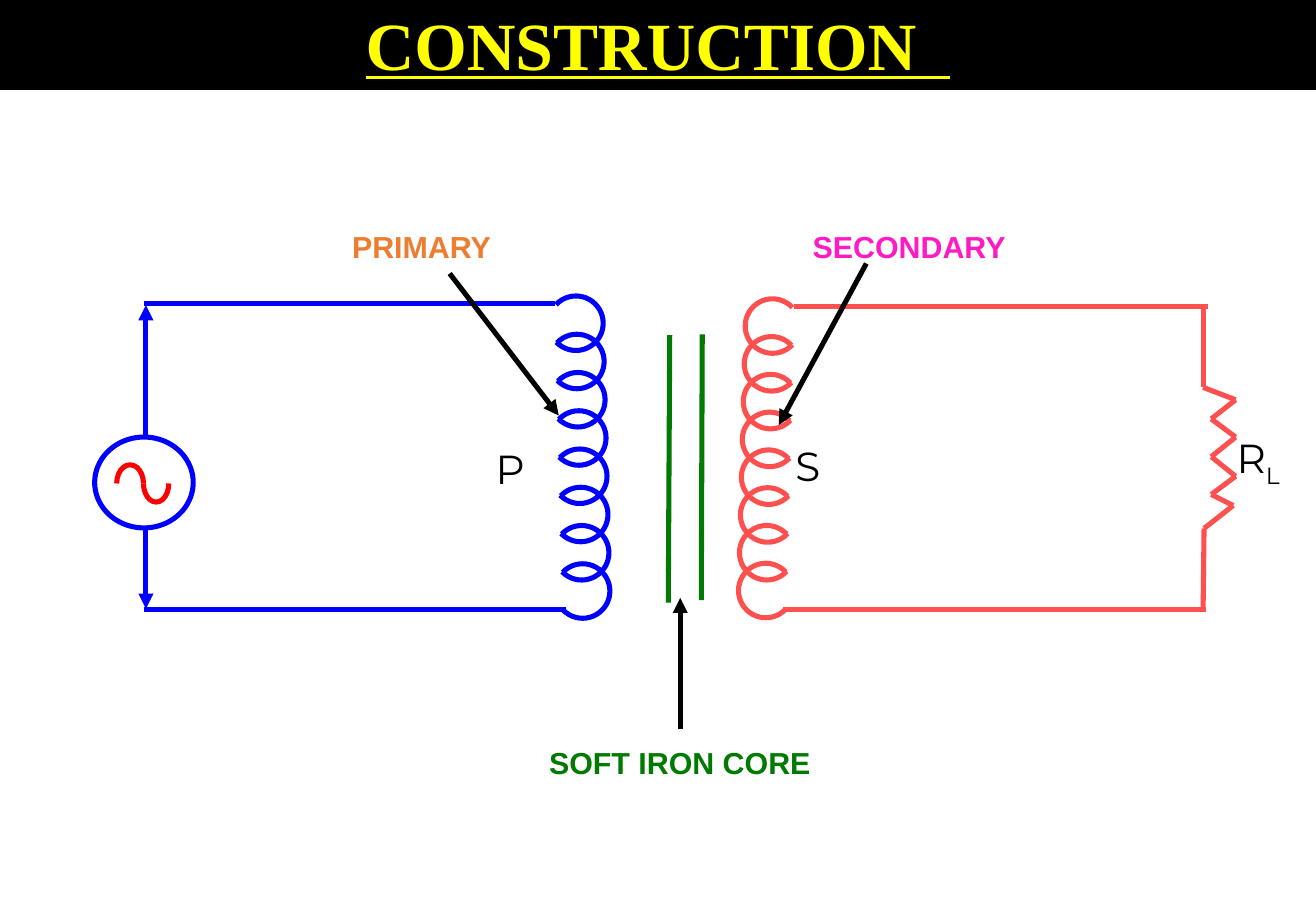
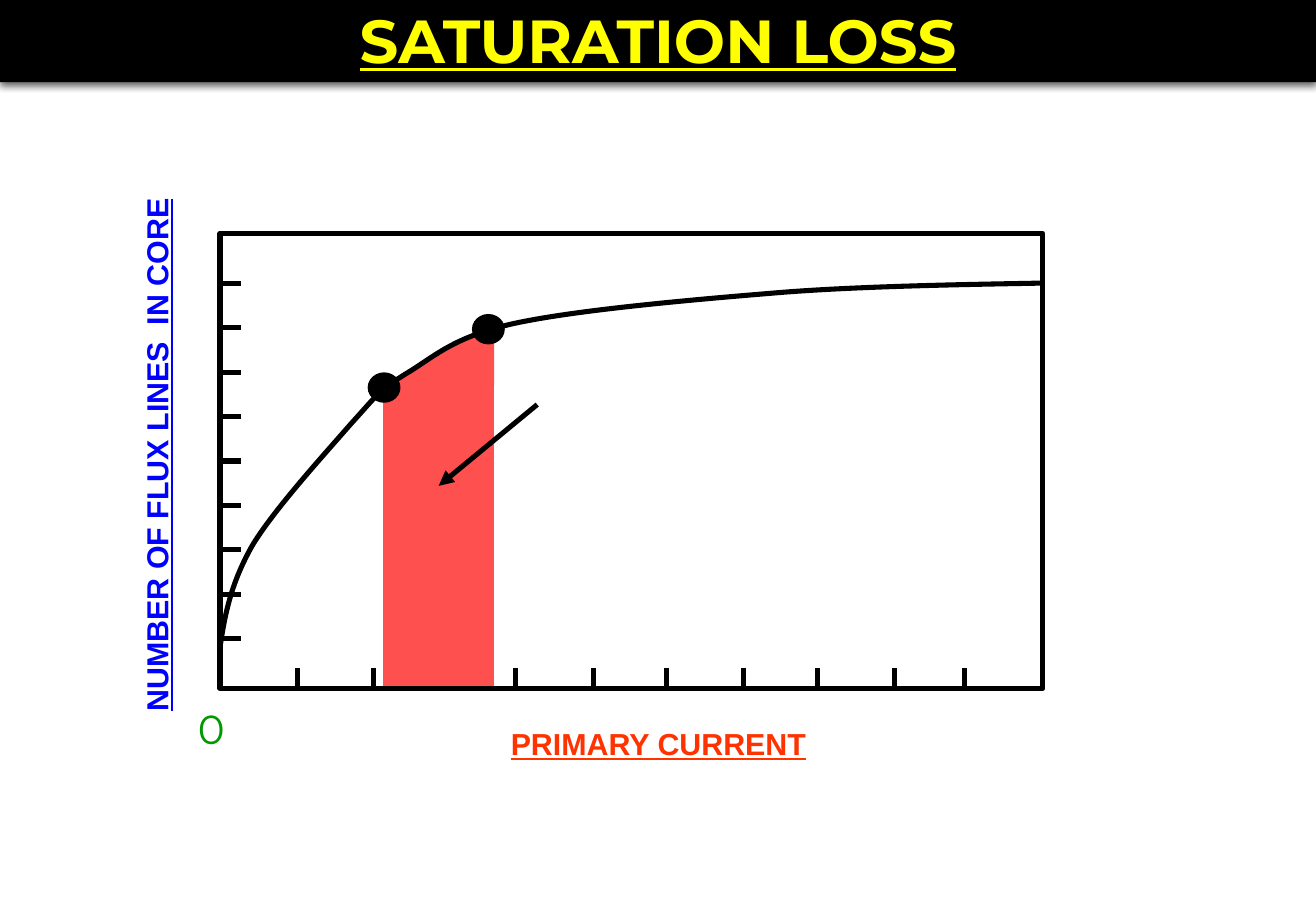
from itertools import pairwise

from pptx import Presentation
from pptx.dml.color import RGBColor
from pptx.enum import shapes, text
from pptx.oxml import ns, xmlchemy
from pptx.util import Cm, Pt

SHAPE = shapes.MSO_SHAPE
ALIGN = text.PP_ALIGN
COLORS = {
    "black": "000000", "white": "FFFFFF", "yellow": "FFFF00",
    "blue": "0000FF", "coral": "FF5050", "red": "FF0000",
    "core": "007A00", "orange": "ED7D31", "pink": "FF1BC3",
    "scarlet": "FF3300", "green": "009900",
}
SLIDE_W, SLIDE_H = 27.51, 19.05
STROKE = 3

COIL_TURNS, COIL_RADIUS = 8, 0.57
COILS = [
    {"color": "coral", "first": (16.15, 6.82), "step": (-0.02, 0.79), "arc": (43, 317)},
    {"color": "blue", "first": (12.04, 6.76), "step": (0.02, 0.8), "arc": (223, 136)},
]
WIRES = [
    ("coral", (16.36, 12.75), (25.22, 12.75)),
    ("coral", (16.59, 6.4), (25.25, 6.4)),
    ("blue", (11.84, 12.75), (3.02, 12.75)),
    ("blue", (11.61, 6.35), (3, 6.35)),
    ("core", (14, 7.01), (13.97, 12.6)),
    ("core", (14.68, 6.99), (14.66, 12.55)),
]
SOURCE_LEAD = ((3.05, 6.38), (3.05, 12.73))
GENERATOR = (1.98, 9.14, 2.06, 1.9)
SINE = [((2.44, 9.72, 0.56, 0.78), (180, 0)), ((3, 9.72, 0.53, 0.78), (0, 180))]
RESISTOR = [
    (25.15, 6.4), (25.15, 8.1), (25.83, 8.36), (25.32, 8.76), (25.83, 9.14),
    (25.32, 9.55), (25.83, 9.96), (25.32, 10.34), (25.78, 10.57),
    (25.17, 11.05), (25.15, 12.75),
]
POINTERS = [
    ((14.22, 15.24), (14.22, 12.5)),
    ((18.11, 5.51), (16.28, 8.89)),
    ((9.4, 5.72), (11.68, 8.69)),
]
SYMBOLS = [
    (["S"], (16.38, 9.09, 1.22, 1.27)),
    (["P"], (10.11, 9.17, 1.22, 1.27)),
    (["R", "L"], (25.6, 8.94, 1.55, 1.27)),
]
PART_LABELS = [
    ("PRIMARY", (7.11, 4.65, 5.28, 1.02), "orange"),
    ("SECONDARY", (16.74, 4.65, 5.28, 1.02), "pink"),
    ("SOFT IRON CORE", (11.23, 15.44, 6.65, 1.02), "core"),
]

PLOT = (4.6, 4.88, 17.2, 9.52)
X_TICKS = [6.22, 7.8, 10.77, 12.4, 13.94, 15.54, 17.09, 18.69, 20.17]
Y_TICKS = [5.92 + 0.93 * i for i in range(9)]
TICK = 0.44
LOSS_AREA = [
    (SHAPE.RECTANGLE, (8.03, 8.05, 2.29, 6.35)),
    (SHAPE.RIGHT_TRIANGLE, (8.03, 6.78, 2.29, 1.27)),
]
CURVE_START = (4.6, 13.54)
CURVE = [
    ((4.7, 12.85), (4.83, 12.19), (5.28, 11.4)),
    ((5.74, 10.64), (6.81, 9.47), (7.34, 8.86)),
    ((7.87, 8.28), (7.9, 8.18), (8.48, 7.82)),
    ((9.07, 7.47), (9.47, 7.04), (10.77, 6.76)),
    ((12.07, 6.48), (14.45, 6.27), (16.28, 6.12)),
    ((18.11, 5.97), (20.9, 5.94), (21.8, 5.92)),
]
KNEES = [(7.7, 7.8, 0.66, 0.61), (9.88, 6.58, 0.66, 0.61)]
AXIS_LABELS = [
    ("PRIMARY CURRENT", (2.08, 15.04, 23.37, 1.02), "scarlet", 0),
    ("NUMBER OF FLUX LINES  IN CORE", (-3.68, 8.97, 13.97, 1.09), "blue", 270),
]


def rgb(name):
    return RGBColor.from_string(COLORS[name])


def add_xml(parent, tag, **attrs):
    el = xmlchemy.OxmlElement(tag)
    for key, value in attrs.items():
        el.set(key, str(value))
    parent.append(el)
    return el


def style(sp, line=None, fill=None, width=STROKE):
    sp.shadow.inherit = False
    if fill:
        sp.fill.solid()
        sp.fill.fore_color.rgb = rgb(fill)
    else:
        sp.fill.background()
    if line:
        sp.line.color.rgb = rgb(line)
        sp.line.width = Pt(width)
    else:
        sp.line.fill.background()
    return sp


def add_shape(s, kind, box, **look):
    return style(s.shapes.add_shape(kind, *map(Cm, box)), **look)


def add_arc(s, box, angles, color):
    sp = add_shape(s, SHAPE.ARC, box, line=color)
    for i, angle in enumerate(angles):
        sp.adjustments[i] = angle * 0.6


def add_line(s, start, end, color="black", heads=()):
    ends = map(Cm, (*start, *end))
    c = s.shapes.add_connector(shapes.MSO_CONNECTOR.STRAIGHT, *ends)
    c.line.color.rgb = rgb(color)
    c.line.width = Pt(STROKE)
    for head in heads:
        add_xml(c.line._get_or_add_ln(), head, type="triangle")
    add_xml(c._element.spPr, "a:effectLst")


def write(tf, runs, size, font, color, bold=False, underline=False, align=ALIGN.LEFT):
    p = tf.paragraphs[0]
    p.alignment = align
    for words in runs:
        r = p.add_run()
        r.text = words
        f = r.font
        f.size, f.name, f.bold, f.underline = Pt(size), font, bold, underline
        f.color.rgb = rgb(color)
    return p


def add_text(s, box, runs, size, font, color, wrap=True, **look):
    sp = s.shapes.add_textbox(*map(Cm, box))
    sp.text_frame.word_wrap = wrap
    write(sp.text_frame, runs, size, font, color, **look)
    return sp


def add_title(s, title, height, size, font):
    sp = add_shape(s, SHAPE.RECTANGLE, (0, -0.08, SLIDE_W, height), fill="black")
    sp.text_frame.vertical_anchor = text.MSO_ANCHOR.MIDDLE
    write(sp.text_frame, [title], size, font, "yellow", True, True, ALIGN.CENTER)
    return sp


def add_drop_shadow(sp):
    effects = sp._element.spPr.find(ns.qn("a:effectLst"))
    shadow = add_xml(effects, "a:outerShdw", blurRad=Pt(4.5), dist=Pt(1.5),
                     dir=90 * 60000, algn="t", rotWithShape=0)
    add_xml(add_xml(shadow, "a:srgbClr", val=COLORS["black"]), "a:alpha", val=63000)


def add_curve(s, start, segments):
    fb = s.shapes.build_freeform(*map(Cm, start))
    fb.add_line_segments([tuple(map(Cm, seg[-1])) for seg in segments], close=False)
    sp = style(fb.convert_to_shape(), line="black")
    path = next(sp._element.iter(ns.qn("a:path")))
    for line in path.findall(ns.qn("a:lnTo")):
        path.remove(line)
    for seg in segments:
        bezier = add_xml(path, "a:cubicBezTo")
        for x, y in seg:
            add_xml(bezier, "a:pt", x=Cm(x) - sp.left, y=Cm(y) - sp.top)


def build_construction(s):
    for coil in COILS:
        group = s.shapes.add_group_shape()
        (x, y), (dx, dy) = coil["first"], coil["step"]
        for i in range(COIL_TURNS):
            box = (x + i * dx - COIL_RADIUS, y + i * dy - COIL_RADIUS,
                   2 * COIL_RADIUS, 2 * COIL_RADIUS)
            add_arc(group, box, coil["arc"], coil["color"])
    for color, start, end in WIRES:
        add_line(s, start, end, color)
    add_line(s, *SOURCE_LEAD, "blue", ("a:headEnd", "a:tailEnd"))
    add_shape(s, SHAPE.OVAL, GENERATOR, line="blue", fill="white")
    sine = s.shapes.add_group_shape()
    for box, angles in SINE:
        add_arc(sine, box, angles, "red")
    resistor = s.shapes.add_group_shape()
    for start, end in pairwise(RESISTOR):
        add_line(resistor, start, end, "coral")
    for runs, box in SYMBOLS:
        sp = add_text(s, box, runs, 24, "Montserrat", "black", wrap=False)
        for r in sp.text_frame.paragraphs[0].runs[1:]:
            r.font._element.set("baseline", "-25000")
    for words, box, color in PART_LABELS:
        add_text(s, box, [words], 18, "Arial", color, bold=True)
    for start, end in POINTERS:
        add_line(s, start, end, heads=["a:tailEnd"])
    add_title(s, "CONSTRUCTION  ", 1.96, 40, "Times New Roman")


def build_saturation(s):
    area = s.shapes.add_group_shape()
    for kind, box in LOSS_AREA:
        sp = add_shape(area, kind, box, line="coral", fill="coral", width=0.75)
        if kind == SHAPE.RIGHT_TRIANGLE:
            sp._element.spPr.get_or_add_xfrm().set("flipH", "1")
    add_shape(s, SHAPE.RECTANGLE, PLOT, line="black")
    left, bottom = PLOT[0], PLOT[1] + PLOT[3]
    for x in X_TICKS:
        add_line(s, (x, bottom - TICK), (x, bottom))
    for y in Y_TICKS:
        add_line(s, (left, y), (left + TICK, y))
    for words, box, color, angle in AXIS_LABELS:
        sp = add_text(s, box, [words], 18, "Arial", color,
                      bold=True, underline=True, align=ALIGN.CENTER)
        sp.rotation = angle
    add_text(s, (3.89, 14.6, 1.17, 1.27), ["0"], 24, "Montserrat", "green", wrap=False)
    add_line(s, (11.23, 8.46), (9.17, 10.16), heads=["a:tailEnd"])
    add_curve(s, CURVE_START, CURVE)
    for box in KNEES:
        add_shape(s, SHAPE.OVAL, box, line="black", fill="black", width=0.75)
    add_drop_shadow(add_title(s, "SATURATION LOSS", 1.8, 36, "Montserrat"))


def main():
    prs = Presentation()
    prs.slide_width, prs.slide_height = Cm(SLIDE_W), Cm(SLIDE_H)
    for build in (build_construction, build_saturation):
        build(prs.slides.add_slide(prs.slide_layouts[6]))
    prs.save("out.pptx")


if __name__ == "__main__":
    main()
